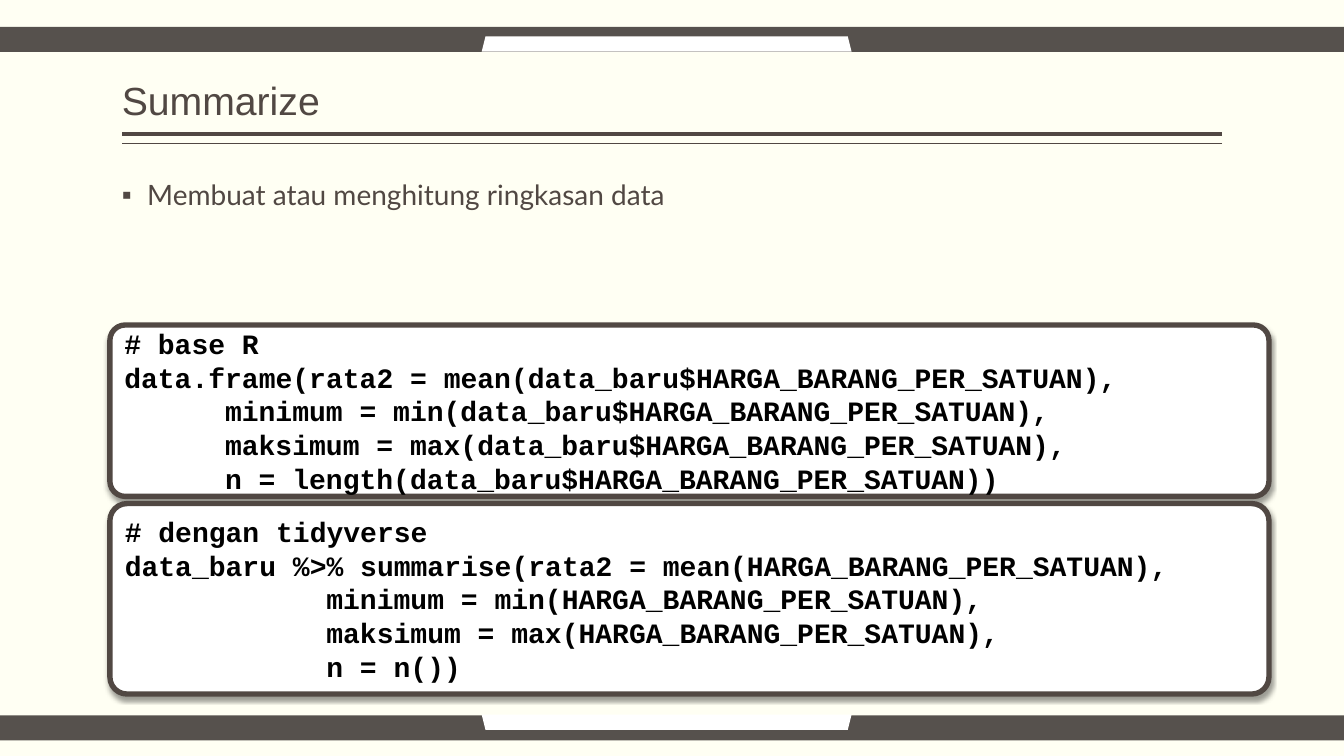
import pptx
import pptx.dml.color
import pptx.enum.shapes
import pptx.enum.text
import pptx.oxml
import pptx.oxml.ns
import pptx.util
from lxml import etree

Cm = pptx.util.Cm
Pt = pptx.util.Pt
qn = pptx.oxml.ns.qn
SHAPES = pptx.enum.shapes.MSO_SHAPE
ANCHORS = pptx.enum.text.MSO_ANCHOR

COLORS = {
    "background": "FFFFF3",
    "bar": "56514D",
    "ink": "514843",
    "white": "FFFFFF",
    "code": "000000",
}
SLIDE_WIDTH, SLIDE_HEIGHT = 33.87, 19.05
MARGIN, CONTENT_WIDTH = 3.07, 27.73
TAB_WIDTH = 2.54

BASE_CODE = """# base R
data.frame(rata2 = mean(data_baru$HARGA_BARANG_PER_SATUAN),
\tminimum = min(data_baru$HARGA_BARANG_PER_SATUAN),
\tmaksimum = max(data_baru$HARGA_BARANG_PER_SATUAN),
\tn = length(data_baru$HARGA_BARANG_PER_SATUAN))"""

TIDYVERSE_CODE = """# dengan tidyverse
data_baru %>% summarise(rata2 = mean(HARGA_BARANG_PER_SATUAN),
\t\tminimum = min(HARGA_BARANG_PER_SATUAN),
\t\tmaksimum = max(HARGA_BARANG_PER_SATUAN),
\t\tn = n())"""


def color(name):
    return pptx.dml.color.RGBColor.from_string(COLORS[name])


def write_text(frame, text, *, font, size, ink="ink", bold=False, spacing=1.0,
               anchor=ANCHORS.TOP, side_inset=0.0, bullet=None):
    """Fill a text frame with one paragraph for each line of text."""
    frame.word_wrap = True
    frame.auto_size = pptx.enum.text.MSO_AUTO_SIZE.NONE
    frame.vertical_anchor = anchor
    frame.margin_left = frame.margin_right = Cm(side_inset)
    frame.margin_top = frame.margin_bottom = Cm(0.13)
    for index, line in enumerate(text.split("\n")):
        paragraph = frame.add_paragraph() if index else frame.paragraphs[0]
        paragraph.alignment = pptx.enum.text.PP_ALIGN.LEFT
        paragraph.line_spacing = spacing
        properties = paragraph._p.get_or_add_pPr()
        if bullet:
            indent = Cm(0.64)
            properties.set("marL", str(indent))
            properties.set("indent", str(-indent))
            etree.SubElement(properties, qn("a:buFont"), typeface="Arial")
            etree.SubElement(properties, qn("a:buChar")).set("char", bullet)
        if "\t" in line:
            tabs = etree.SubElement(properties, qn("a:tabLst"))
            for stop in range(1, line.count("\t") + 1):
                etree.SubElement(tabs, qn("a:tab"),
                                 pos=str(Cm(stop * TAB_WIDTH)), algn="l")
        run = paragraph.add_run()
        run.text = line
        run.font.name = font
        run.font.size = Pt(size)
        run.font.bold = bold
        run.font.color.rgb = color(ink)


class SlideBuilder:
    def __init__(self, presentation):
        self.heading_font = "Arial"
        self.body_font = "Lato"
        self.code_font = "Courier New"
        self.slide = presentation.slides.add_slide(presentation.slide_layouts[5])
        background = self.slide.background.fill
        background.solid()
        background.fore_color.rgb = color("background")

    def shape(self, kind, left, top, width, height, fill):
        shape = self.slide.shapes.add_shape(
            kind, Cm(left), Cm(top), Cm(width), Cm(height))
        shape.shadow.inherit = False
        shape.fill.solid()
        shape.fill.fore_color.rgb = color(fill)
        shape.line.fill.background()
        return shape

    def rule(self, top, weight):
        line = self.slide.shapes.add_connector(
            pptx.enum.shapes.MSO_CONNECTOR.STRAIGHT,
            Cm(MARGIN + CONTENT_WIDTH), Cm(top), Cm(MARGIN), Cm(top))
        line.line.color.rgb = color("ink")
        line.line.width = Pt(weight)
        etree.SubElement(line._element.spPr, qn("a:effectLst"))

    def band(self, bar_top, notch_top, rotation):
        """Draw a dark full-width bar with a white notch in it."""
        self.shape(SHAPES.RECTANGLE, 0, bar_top, SLIDE_WIDTH, 0.63, "bar")
        notch = self.shape(SHAPES.TRAPEZOID, 12.14, notch_top, 9.32, 0.38, "white")
        notch.rotation = rotation

    def title(self, text):
        title = self.slide.shapes.title
        title.left, title.top = Cm(MARGIN), Cm(0.2)
        title.width, title.height = Cm(CONTENT_WIDTH), Cm(3.05)
        write_text(title.text_frame, text, font=self.heading_font, size=28,
                   spacing=0.9, anchor=ANCHORS.BOTTOM)

    def bullets(self, text):
        box = self.slide.shapes.add_textbox(
            Cm(MARGIN), Cm(4.45), Cm(CONTENT_WIDTH), Cm(12.7))
        write_text(box.text_frame, text, font=self.body_font, size=20,
                   spacing=0.9, bullet="▪")

    def code(self, text, top, height):
        panel = self.shape(
            SHAPES.ROUNDED_RECTANGLE, 2.77, top, 29.21, height, "white")
        panel.adjustments[0] = 0.09
        panel.line.color.rgb = color("ink")
        panel.line.width = Pt(3.82)
        effects = panel._element.spPr.find(qn("a:effectLst"))
        shadow = etree.SubElement(
            effects, qn("a:outerShdw"), blurRad=str(Pt(3.5)), dist=str(Pt(2)),
            dir="5400000", rotWithShape="0")
        shade = etree.SubElement(shadow, qn("a:srgbClr"), val=COLORS["code"])
        etree.SubElement(shade, qn("a:alpha"), val="38000")
        write_text(panel.text_frame, text, font=self.code_font, size=20,
                   ink="code", bold=True, anchor=ANCHORS.MIDDLE, side_inset=0.25)


def main():
    presentation = pptx.Presentation()
    presentation.slide_width = Cm(SLIDE_WIDTH)
    presentation.slide_height = Cm(SLIDE_HEIGHT)
    builder = SlideBuilder(presentation)
    builder.rule(3.38, 3)
    builder.rule(3.62, 1)
    builder.band(0.68, 0.92, 0)
    builder.band(18.03, 18.01, 180)
    builder.title("Summarize")
    builder.bullets("Membuat atau menghitung ringkasan data")
    builder.code(BASE_CODE, 8.19, 4.32)
    builder.code(TIDYVERSE_CODE, 12.69, 4.8)
    presentation.save("out.pptx")


if __name__ == "__main__":
    main()
